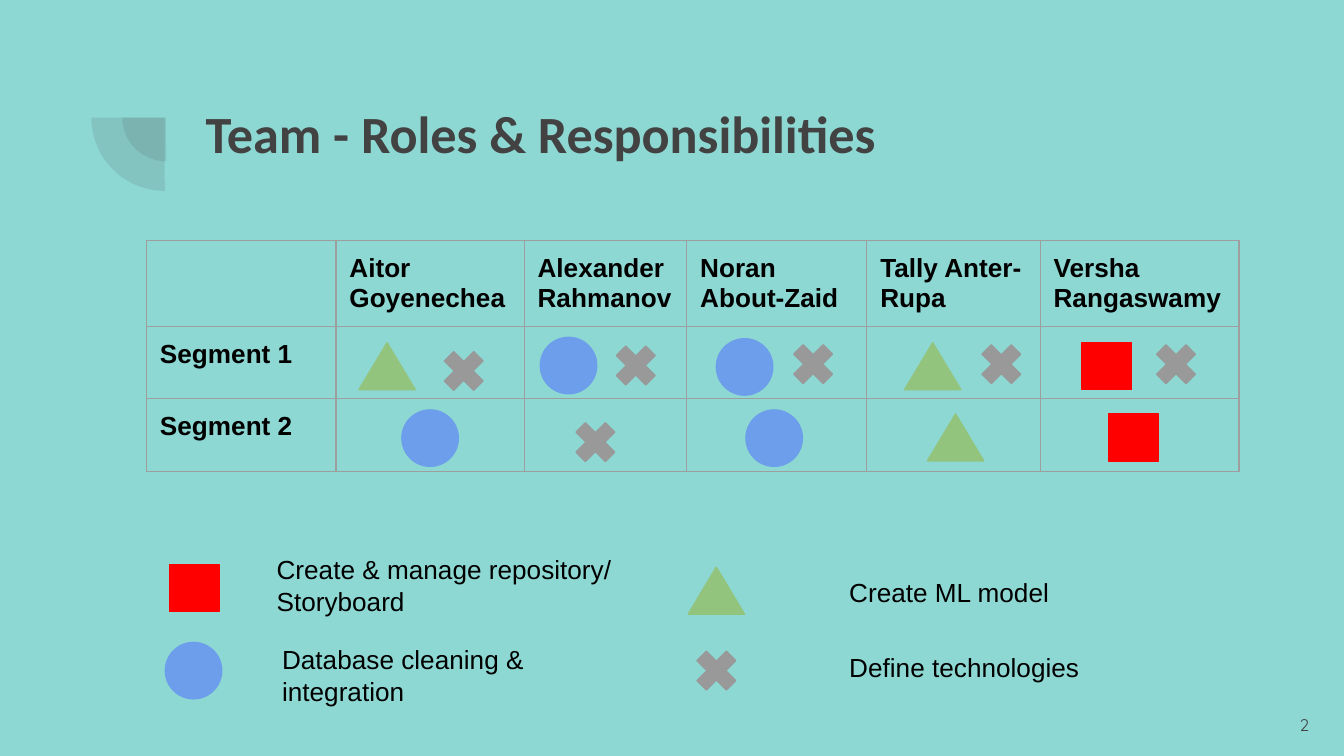
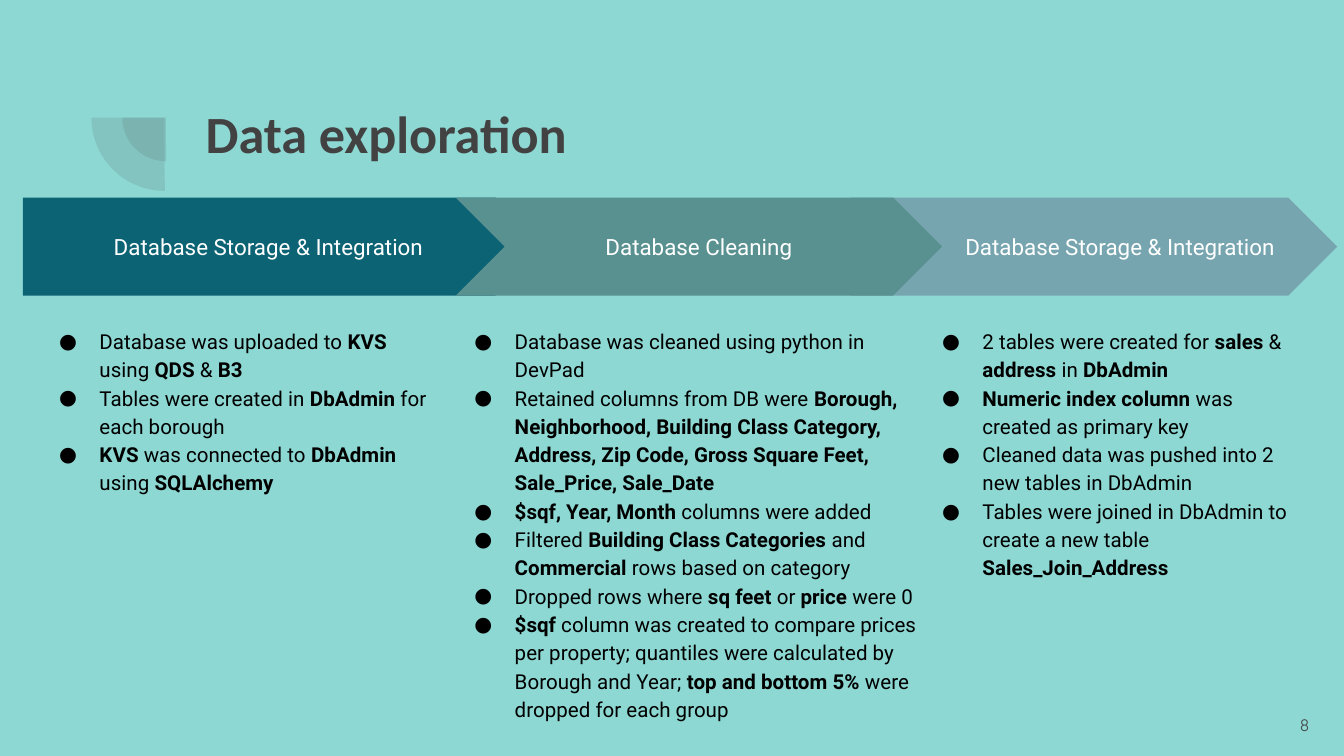
from lxml.etree import SubElement
from pptx import Presentation
from pptx.dml.color import RGBColor
from pptx.enum.shapes import MSO_SHAPE
from pptx.enum.text import MSO_ANCHOR, MSO_AUTO_SIZE, PP_ALIGN
from pptx.oxml.ns import qn
from pptx.util import Inches, Pt

COLORS = {
    "background": "8DD8D3", "dark": "424242", "black": "000000", "white": "FFFFFF",
    "grid": "9E9E9E", "red": "FF0000", "blue": "6D9EEB", "green": "93C47D",
    "gray": "999999", "petrol": "0B6374", "sage": "599191", "steel": "76A5AF",
}
TITLE_STYLE = {"name": "Calibri", "size": Pt(28), "bold": True, "color": "dark"}
NUMBER_STYLE = {"name": "Quicksand", "size": Pt(9), "color": "dark"}
HEADER_STYLE = {"name": "Arial", "size": Pt(14), "bold": True, "color": "black"}
LEGEND_STYLE = {"name": "Arial", "size": Pt(14), "color": "black"}
STEP_STYLE = {"name": "Roboto", "size": Pt(12), "color": "white"}
LIST_STYLE = {"name": "Roboto", "size": Pt(11), "color": "black"}

QUARTER_RINGS = [(0.91, 0.55, 0.65), (0.68, 0.33, 1.09)]

# Task symbols: preset, width, height, colour
SYMBOLS = {
    "repository": (MSO_SHAPE.RECTANGLE, 0.37, 0.35, "red"),
    "database": (MSO_SHAPE.OVAL, 0.42, 0.42, "blue"),
    "model": (MSO_SHAPE.ISOSCELES_TRIANGLE, 0.42, 0.35, "green"),
    "technology": (MSO_SHAPE.MATH_MULTIPLY, 0.42, 0.42, "gray"),
}
TEAM_ROWS = [
    ["", "Aitor Goyenechea", "Alexander Rahmanov", "Noran About-Zaid",
     "Tally Anter-Rupa", "Versha Rangaswamy"],
    ["Segment 1", "", "", "", "", ""],
    ["Segment 2", "", "", "", "", ""],
]
COLUMN_WIDTHS = [1.41, 1.4, 1.21, 1.34, 1.29, 1.48]
ROW_HEIGHTS = [0.42, 0.54, 0.54]

# Symbol places in the table: (left, top)
ASSIGNMENTS = {
    "repository": [(8.05, 2.55), (8.25, 3.08)],
    "database": [(4.02, 2.51), (5.33, 2.52), (2.99, 3.05), (5.55, 3.05)],
    "model": [(2.67, 2.55), (6.73, 2.55), (6.9, 3.08)],
    "technology": [(3.24, 2.55), (4.52, 2.51), (5.84, 2.5), (7.24, 2.5),
                   (8.54, 2.5), (4.22, 3.08)],
}
# Symbol, its place, label, label box
LEGEND = [
    ("repository", (1.26, 4.2), "Create & manage repository/ Storyboard", (1.96, 4.02, 3.1, 0.67)),
    ("database", (1.23, 4.78), "Database cleaning & integration", (2, 4.69, 2.52, 0.67)),
    ("model", (5.12, 4.22), "Create ML model", (6.22, 4.19, 1.85, 0.44)),
    ("technology", (5.12, 4.78), "Define technologies", (6.22, 4.75, 1.99, 0.44)),
]

# Steps from back to front; ** switches bold on and off in the list items
STEP_TOP, STEP_HEIGHT = 1.47, 0.73
LIST_TOP, LIST_HEIGHT = 2.32, 2.86
STEPS = [
    {
        "label": "Database Storage & Integration", "align": PP_ALIGN.RIGHT,
        "preset": MSO_SHAPE.CHEVRON, "color": "steel",
        "arrow": (6.33, 3.62), "list": (6.91, 2.87),
        "items": [
            "2 tables were created for **sales** & **address **in** DbAdmin**",
            "**Numeric index column** was created as primary key",
            "Cleaned data was pushed into 2 new tables in DbAdmin",
            "Tables were joined in DbAdmin to create a new table **Sales_Join_Address**",
        ],
    },
    {
        "label": "Database Storage & Integration ", "align": PP_ALIGN.CENTER,
        "preset": MSO_SHAPE.PENTAGON, "color": "petrol",
        "arrow": (0.17, 3.88), "list": (0.34, 3.04),
        "items": [
            "Database was uploaded to **KVS** using **QDS** & **B3**",
            "Tables were created in **DbAdmin** for each borough",
            "**KVS** was connected to **DbAdmin** using **SQLAlchemy**",
        ],
    },
    {
        "label": "Database Cleaning", "align": PP_ALIGN.CENTER,
        "preset": MSO_SHAPE.CHEVRON, "color": "sage",
        "arrow": (3.39, 3.62), "list": (3.43, 3.53),
        "items": [
            "Database was cleaned using python in DevPad",
            "Retained columns from DB were **Borough, Neighborhood, Building Class "
            "Category, Address, Zip Code, Gross Square Feet, Sale_Price, Sale_Date**",
            "**$sqf, Year, Month** columns were added",
            "Filtered **Building Class Categories** and **Commercial** rows based on category",
            "Dropped rows where **sq feet** or **price** were 0",
            "**$sqf** column was created to compare prices per property; quantiles were "
            "calculated by Borough and Year; **top and bottom 5%** were dropped for each group",
        ],
    },
]


def rgb(name):
    return RGBColor.from_string(COLORS[name])


def set_attributes(target, values):
    for name, value in values.items():
        setattr(target, name, value)


def place(shape, left, top, width, height):
    box = zip(("left", "top", "width", "height"), (left, top, width, height))
    set_attributes(shape, {name: Inches(value) for name, value in box})


def add_run(paragraph, text, style, **changes):
    run = paragraph.add_run()
    run.text = text
    values = {**style, **changes}
    run.font.color.rgb = rgb(values.pop("color"))
    set_attributes(run.font, values)


def set_margins(target):
    for side in ("left", "top", "right", "bottom"):
        setattr(target, f"margin_{side}", Inches(0.1))


def set_frame(frame, anchor=MSO_ANCHOR.TOP, auto_size=MSO_AUTO_SIZE.NONE):
    set_margins(frame)
    set_attributes(frame, {"word_wrap": True, "auto_size": auto_size, "vertical_anchor": anchor})


def add_text(slide, box, text, style, align=PP_ALIGN.LEFT, **frame_values):
    text_box = slide.shapes.add_textbox(*map(Inches, box))
    set_frame(text_box.text_frame, **frame_values)
    paragraph = text_box.text_frame.paragraphs[0]
    paragraph.alignment = align
    add_run(paragraph, text, style)


def add_shape(slide, preset, box, color):
    shape = slide.shapes.add_shape(preset, *map(Inches, box))
    shape.shadow.inherit = False
    shape.fill.solid()
    shape.fill.fore_color.rgb = rgb(color)
    shape.line.fill.background()
    return shape


def add_base_slide(presentation, layout_name, title, number):
    """Add a slide with the shared quarter rings, title and page number."""
    slide = presentation.slides.add_slide(presentation.slide_layouts.get_by_name(layout_name))
    for left, top, size in QUARTER_RINGS:
        ring = add_shape(slide, MSO_SHAPE.PIE, (left, top, size, size), "dark")
        ring.rotation = 270
        ring.adjustments[0], ring.adjustments[1] = 107.93, 162
        color = ring.fill._xPr.find(qn("a:solidFill"))[0]
        SubElement(color, qn("a:alpha"), val="13000")
    place(slide.shapes.title, 1.43, 0.65, 7.69, 1.09)
    frame = slide.shapes.title.text_frame
    set_frame(frame)
    frame.paragraphs[0].alignment = PP_ALIGN.LEFT
    add_run(frame.paragraphs[0], title, TITLE_STYLE)
    add_text(slide, (9.24, 5.18, 0.6, 0.43), number, NUMBER_STYLE,
             PP_ALIGN.RIGHT, anchor=MSO_ANCHOR.MIDDLE)
    return slide


def set_borders(cell):
    properties = cell._tc.get_or_add_tcPr()
    for side in ("lnL", "lnR", "lnT", "lnB"):
        line = SubElement(properties, qn(f"a:{side}"), w=str(Pt(0.75)))
        fill = SubElement(line, qn("a:solidFill"))
        SubElement(fill, qn("a:srgbClr"), val=COLORS["grid"])


def add_team_table(slide):
    frame = slide.shapes.add_table(
        len(ROW_HEIGHTS), len(COLUMN_WIDTHS), Inches(1.09), Inches(1.79),
        Inches(sum(COLUMN_WIDTHS)), Inches(sum(ROW_HEIGHTS)))
    table = frame.table
    set_attributes(table, {"first_row": False, "horz_banding": False})
    for column, width in zip(table.columns, COLUMN_WIDTHS):
        column.width = Inches(width)
    for row, height, texts in zip(table.rows, ROW_HEIGHTS, TEAM_ROWS):
        row.height = Inches(height)
        for cell, text in zip(row.cells, texts):
            set_margins(cell)
            set_borders(cell)
            cell.fill.background()
            if text:
                add_run(cell.text_frame.paragraphs[0], text, HEADER_STYLE)


def add_symbol(slide, task, position):
    preset, width, height, color = SYMBOLS[task]
    symbol = add_shape(slide, preset, (*position, width, height), color)
    symbol.line.color.rgb = rgb(color)
    symbol.line.width = Pt(0.75)


def build_team_slide(presentation):
    slide = add_base_slide(presentation, "Title Only", "Team - Roles & Responsibilities", "2")
    add_team_table(slide)
    for task, positions in ASSIGNMENTS.items():
        for position in positions:
            add_symbol(slide, task, position)
    for task, position, label, box in LEGEND:
        add_symbol(slide, task, position)
        add_text(slide, box, label, LEGEND_STYLE, auto_size=MSO_AUTO_SIZE.SHAPE_TO_FIT_TEXT)


def add_bullet(paragraph):
    properties = paragraph._p.get_or_add_pPr()
    properties.set("marL", str(Inches(0.3)))
    properties.set("indent", str(Inches(-0.33)))
    color = SubElement(properties, qn("a:buClr"))
    SubElement(color, qn("a:srgbClr"), val=COLORS["black"])
    SubElement(properties, qn("a:buSzPts"), val="1100")
    SubElement(properties, qn("a:buFont"), typeface="Roboto")
    SubElement(properties, qn("a:buChar"), char="●")


def fill_list(frame, items):
    set_frame(frame)
    for index, item in enumerate(items):
        paragraph = frame.add_paragraph() if index else frame.paragraphs[0]
        set_attributes(paragraph, {"line_spacing": 1.15, "space_before": Pt(0),
                                   "space_after": Pt(0), "alignment": PP_ALIGN.LEFT})
        add_bullet(paragraph)
        for part, text in enumerate(item.split("**")):
            if text:
                add_run(paragraph, text, LIST_STYLE, bold=part % 2 == 1)


def build_exploration_slide(presentation):
    slide = add_base_slide(presentation, "Comparison", "Data exploration", "8")
    bodies = [shape for shape in slide.placeholders if shape.placeholder_format.idx > 0]
    for step, body in zip(STEPS, bodies):
        left, width = step["arrow"]
        arrow = add_shape(slide, step["preset"], (left, STEP_TOP, width, STEP_HEIGHT), step["color"])
        set_frame(arrow.text_frame, MSO_ANCHOR.MIDDLE)
        paragraph = arrow.text_frame.paragraphs[0]
        paragraph.alignment = step["align"]
        add_run(paragraph, step["label"], STEP_STYLE)
        left, width = step["list"]
        place(body, left, LIST_TOP, width, LIST_HEIGHT)
        fill_list(body.text_frame, step["items"])
    for body in bodies[len(STEPS):]:
        body.element.getparent().remove(body.element)


def main():
    presentation = Presentation()
    presentation.slide_width = Inches(10)
    presentation.slide_height = Inches(10 * 9 / 16)
    background = presentation.slide_master.background.fill
    background.solid()
    background.fore_color.rgb = rgb("background")
    build_team_slide(presentation)
    build_exploration_slide(presentation)
    presentation.save("out.pptx")


if __name__ == "__main__":
    main()
